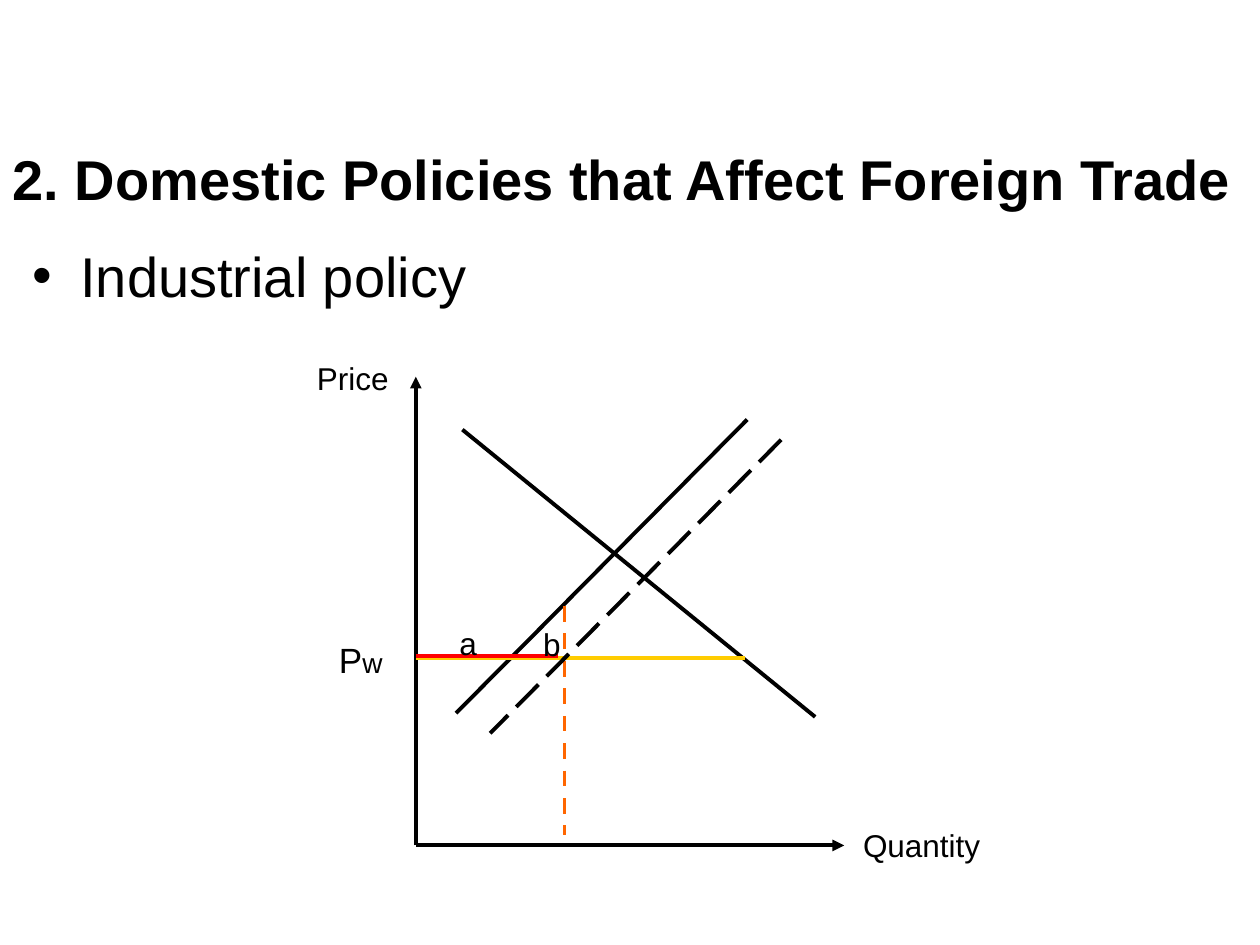
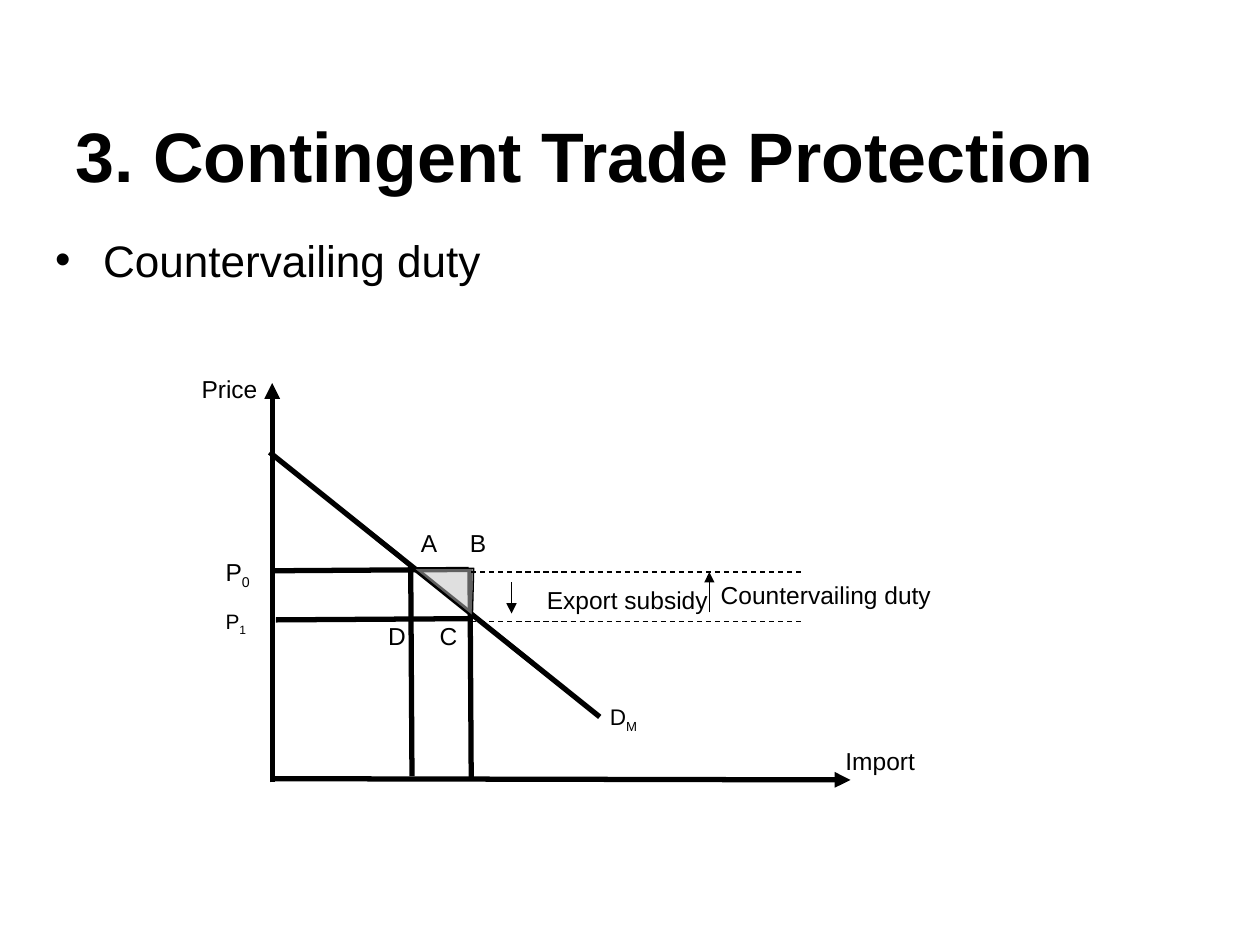
from pptx import Presentation, util as u
from pptx.dml import color
from pptx.enum import dml, text
from pptx.oxml import ns, xmlchemy

FONT = "Arial"
BLACK, RED, YELLOW, ORANGE, GREY = "000000", "FF0000", "FFCC00", "FF6600", "C0C0C0"
LEFT, CENTER = text.PP_ALIGN.LEFT, text.PP_ALIGN.CENTER
DASH, LONG_DASH = dml.MSO_LINE.DASH, dml.MSO_LINE.LONG_DASH


def rgb(value):
    return color.RGBColor.from_string(value)


def add_xml(parent, tag, **attrs):
    child = xmlchemy.OxmlElement(tag)
    for name, value in attrs.items():
        child.set(name, str(value))
    parent.append(child)
    return child


def write(tf, words, size=18, bold=False, align=LEFT, anchor=text.MSO_ANCHOR.TOP,
          inset=0, sub="", sub_size=None, baseline=None):
    tf.word_wrap = True
    tf.auto_size = text.MSO_AUTO_SIZE.NONE
    tf.vertical_anchor = anchor
    tf.margin_left = tf.margin_right = u.Inches(inset)
    tf.margin_top = tf.margin_bottom = u.Inches(inset / 2)
    p = tf.paragraphs[0]
    p.alignment = align
    for part, points in ((words, size), (sub, sub_size or size)):
        if part:
            r = p.add_run()
            r.text = part
            r.font.name, r.font.size, r.font.bold = FONT, u.Pt(points), bold
            r.font.color.rgb = rgb(BLACK)
    if baseline:
        r.font._element.set("baseline", str(baseline))
    return p


def label(s, box, words, x, y, w, h=0.3, **fmt):
    sp = s.shapes.add_textbox(*map(u.Inches, (box[0] + x, box[1] + y, w, h)))
    return write(sp.text_frame, words, **fmt)


def line(s, box, start, end, hue=BLACK, width=2.25, dash=None, arrow=False):
    ends = [u.Inches(box[i] + point[i]) for point in (start, end) for i in (0, 1)]
    c = s.shapes.add_connector(1, *ends)
    c.line.color.rgb = rgb(hue)
    c.line.width = u.Pt(width)
    if dash:
        c.line.dash_style = dash
    sp_pr = c._element.spPr
    if arrow:
        add_xml(sp_pr.find(ns.qn("a:ln")), "a:tailEnd", type="triangle")
    add_xml(sp_pr, "a:effectLst")


def heading(s, box, words, size):
    sp = s.shapes.title
    sp.left, sp.top, sp.width, sp.height = map(u.Inches, box)
    write(sp.text_frame, words, size=size, bold=True, inset=0.1,
          anchor=text.MSO_ANCHOR.MIDDLE)


def bullet(s, box, words, size):
    p = label(s, box, words, 0, 0, *box[2:], size=size, inset=0.1)
    p_pr = p._p.get_or_add_pPr()
    p_pr.set("marL", str(u.Inches(0.38)))
    p_pr.set("indent", str(-u.Inches(0.38)))
    add_xml(p_pr, "a:buFont", typeface=FONT)
    add_xml(p_pr, "a:buChar", char="•")


def industrial_policy(s, box):
    origin = (0.8, 3.91)
    for tip in ((0.8, 0.19), (4.2, 3.91)):
        line(s, box, origin, tip, arrow=True)

    supply = ((3.43, 0.53), (1.12, 2.86))
    line(s, box, *supply)
    line(s, box, (1.17, 0.61), (3.97, 2.89))
    line(s, box, (0.8, 2.42), (3.41, 2.42), YELLOW)
    line(s, box, (0.8, 2.41), (1.93, 2.41), RED)
    line(s, box, (1.98, 2.01), (1.98, 3.83), ORANGE, dash=DASH)
    line(s, box, *[(x + 0.27, y + 0.16) for x, y in supply], dash=LONG_DASH)

    for words, x, y, w in (("a", 1.04, 2.15, 0.35), ("b", 1.71, 2.16, 0.34),
                           ("Price", -0.01, 0.05, 0.62), ("Quantity", 4.25, 3.76, 1.13)):
        label(s, box, words, x, y, w, align=CENTER)
    label(s, box, "P", 0.19, 2.27, 0.5, size=20, sub="w", sub_size=16)


def subsidy_loss(s, box):
    corners = [tuple(u.Inches(box[i] + point[i]) for i in (0, 1))
               for point in ((1.78, 1.61), (2.25, 1.99), (2.26, 1.61))]
    builder = s.shapes.build_freeform(*corners[0], scale=1.0)
    builder.add_line_segments(corners[1:], close=True)
    sp = builder.convert_to_shape()
    sp.shadow.inherit = False
    sp.fill.solid()
    sp.fill.fore_color.rgb = rgb(GREY)
    add_xml(sp._element.spPr.find(ns.qn("a:solidFill"))[0], "a:alpha", val=50000)
    sp.line.color.rgb = rgb(BLACK)
    sp.line.width = u.Pt(0.75)


def countervailing_duty(s, box):
    for start, end in (((0.66, 3.31), (0.66, 0.14)), ((0.66, 3.28), (5.25, 3.29))):
        line(s, box, start, end, width=3, arrow=True)
    for start, end in (((0.64, 0.69), (3.26, 2.79)),
                       ((2.22, 1.62), (0.66, 1.63)), ((2.24, 2.01), (0.69, 2.02)),
                       ((1.76, 1.63), (1.77, 3.26)), ((2.23, 1.61), (2.24, 3.27))):
        line(s, box, start, end, width=3)
    subsidy_loss(s, box)
    for y in (1.64, 2.03):
        line(s, box, (2.24, y), (4.87, y), width=0.75, dash=DASH)
    for x, y, tip in ((2.56, 1.72, 1.97), (4.13, 1.96, 1.64)):
        line(s, box, (x, y), (x, tip), width=0.75, arrow=True)

    for words, x, y, w in (("Price", 0.1, 0.07, 0.6), ("A", 1.84, 1.29, 0.2),
                           ("B", 2.23, 1.29, 0.2), ("D", 1.58, 2.03, 0.2),
                           ("C", 1.99, 2.03, 0.2), ("Export subsidy", 2.84, 1.74, 1.46),
                           ("Countervailing duty", 4.22, 1.7, 1.79),
                           ("Import", 5.21, 3.02, 0.8)):
        label(s, box, words, x, y, w, size=14)
    for words, sub, x, y, size in (("P", "0", 0.29, 1.52, 14), ("P", "1", 0.29, 1.93, 11.9),
                                   ("D", "M", 3.34, 2.68, 12.9)):
        label(s, box, words, x, y, 0.4, size=size, sub=sub, baseline=-25000)


def main():
    prs = Presentation()
    prs.slide_width, prs.slide_height = u.Inches(10), u.Inches(7.5)
    title_only = prs.slide_layouts[5]

    s = prs.slides.add_slide(title_only)
    heading(s, (0, 0.79, 10, 1.25), "2. Domestic Policies that Affect Foreign Trade", 32)
    bullet(s, (0.16, 1.87, 9, 0.69), "Industrial policy", 32)
    industrial_policy(s, (2.5, 2.8))

    s = prs.slides.add_slide(title_only)
    heading(s, (0.5, 0.6, 9, 1.25), "3. Contingent Trade Protection", 40)
    bullet(s, (0.34, 1.8, 9, 0.55), "Countervailing duty", 25.2)
    countervailing_duty(s, (1.5, 2.9))

    prs.save("out.pptx")


if __name__ == "__main__":
    main()
